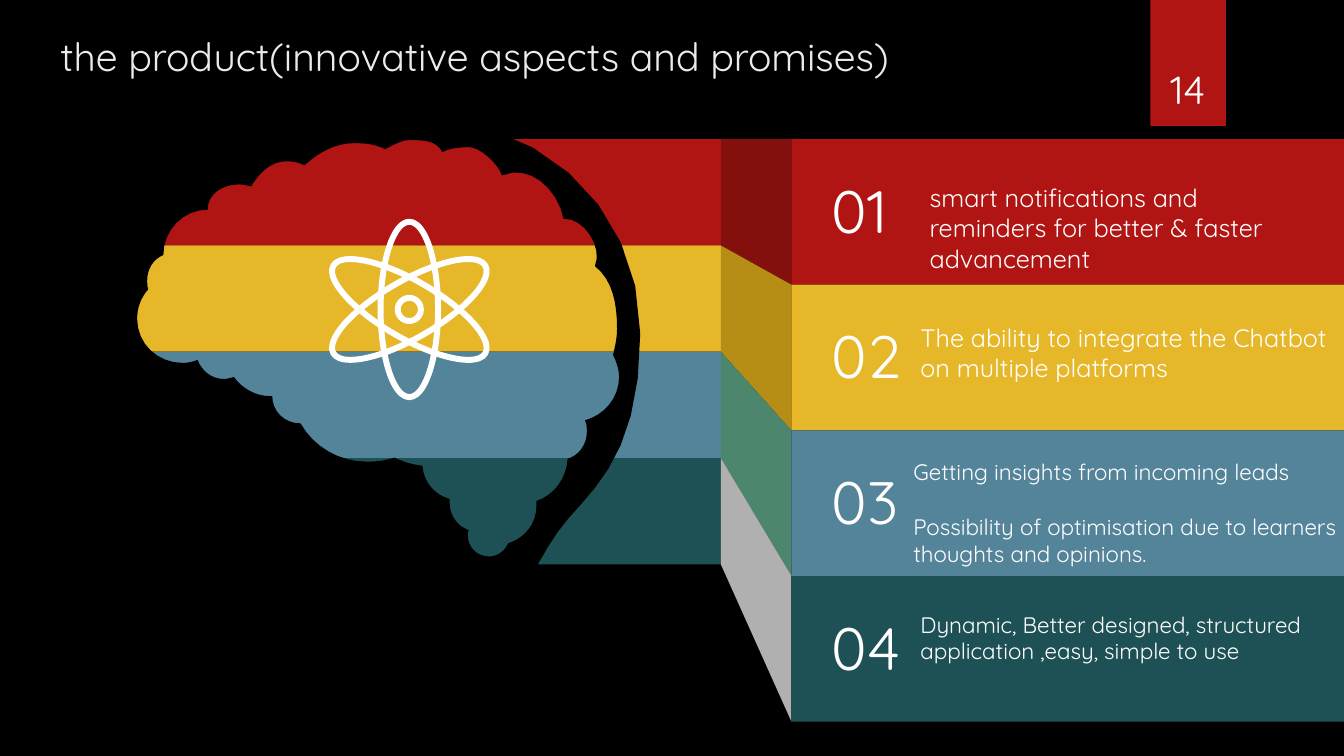
from pptx import Presentation
from pptx.dml.color import RGBColor
from pptx.enum.shapes import MSO_SHAPE
from pptx.enum.text import MSO_ANCHOR, PP_ALIGN
from pptx.util import Inches, Pt

RECT, OVAL = MSO_SHAPE.RECTANGLE, MSO_SHAPE.OVAL
TOP, MID, LOW = MSO_ANCHOR.TOP, MSO_ANCHOR.MIDDLE, MSO_ANCHOR.BOTTOM
LEFT, MIDST = PP_ALIGN.LEFT, PP_ALIGN.CENTER
FONT = "Quicksand"
BLACK, WHITE, RED = "000000", "FFFFFF", "B01513"

TITLE = "the product(innovative aspects and promises)"
PAGE = "14"

ITEMS = [
    ("01", RED, "84100E", (9.22, 1.76, 3.78, 1.01), 18,
     ["smart notifications and reminders for better & faster advancement"]),
    ("02", "E6B729", "B68E15", (9.13, 3.15, 4.2, 0.71), 18,
     ["The ability to integrate the Chatbot on multiple platforms"]),
    ("03", "54849A", "4B866D", (9.06, 4.5, 4.27, 1.18), 16,
     ["Getting insights from incoming leads",
      "Possibility of optimisation due to learners thoughts and opinions."]),
    ("04", "1E5155", "B0B0B0", (9.13, 6.01, 4.2, 0.64), 16,
     ["Dynamic, Better designed, structured application ,easy, simple to use"]),
]

SIDE = [
    (3.21, 1.33), (1.66, 2.07), (1.23, 2.87), (1.34, 3.64), (1.58, 4.46),
    (1.53, 5.83), (2.8, 5.92), (3.35, 7.5), (0, 7.5), (0, 1.32), (1.67, 1.32),
]

HEAD = [
    (6.35, 3.31),
    (6.35, 1.99, 5.25, 1.08, 3.97, 1.19),
    (2.7, 1.28, 2.09, 1.65, 1.82, 1.82),
    (1.56, 1.99, 1.3, 2.28, 1.2, 2.47),
    (1.11, 2.65, 1.05, 2.99, 1.04, 3.15),
    (1.03, 3.31, 1.05, 3.41, 1.07, 3.51),
    (1.1, 3.62, 1.2, 3.79, 1.24, 3.92),
    (1.26, 4.05, 1.18, 4.26, 1.12, 4.36),
    (1.07, 4.44, 0.86, 4.74, 0.81, 4.81),
    (0.76, 4.89, 0.8, 4.99, 0.83, 5.07),
    (0.87, 5.15, 1, 5.18, 1.03, 5.19),
    (1.11, 5.21),
    (1.12, 5.22, 1.1, 5.31, 1.08, 5.37),
    (1.07, 5.41, 1.02, 5.47, 1, 5.5),
    (0.99, 5.53, 1.01, 5.63, 1.04, 5.69),
    (1.07, 5.75, 1.14, 5.78, 1.14, 5.78),
    (1.14, 5.78, 1.04, 5.86, 1.04, 5.95),
    (1.04, 6.04, 1.06, 6.09, 1.08, 6.1),
    (1.1, 6.12, 1.21, 6.15, 1.24, 6.19),
    (1.26, 6.23, 1.29, 6.27, 1.3, 6.3),
    (1.29, 6.4),
    (1.27, 6.55, 1.33, 6.85, 1.57, 6.86),
    (1.75, 6.87, 2.05, 6.76, 2.15, 6.74),
    (2.26, 6.72, 2.73, 6.54, 2.81, 6.6),
    (2.9, 6.66, 2.91, 6.74, 2.94, 6.83),
    (2.97, 6.91, 3.1, 7.32, 3.14, 7.47),
    (4.8, 7.47), (5.2, 7.14), (5.33, 6.9),
    (5.05, 6.03, 5.26, 5.68, 5.53, 5.28),
    (5.78, 4.91, 6.35, 4.63, 6.35, 3.31),
]

BRAIN = [
    (5.32, 5.02),
    (5.32, 5.2, 5.2, 5.34, 5.04, 5.39),
    (5.01, 5.46, 4.94, 5.52, 4.85, 5.52),
    (4.73, 5.52, 4.64, 5.43, 4.64, 5.31),
    (4.64, 5.3, 4.64, 5.27, 4.65, 5.26),
    (4.54, 5.22, 4.46, 5.12, 4.46, 4.99),
    (4.46, 4.95),
    (4.31, 4.91, 4.2, 4.78, 4.19, 4.62),
    (4.09, 4.61, 4, 4.58, 3.91, 4.54),
    (3.82, 4.57, 3.73, 4.58, 3.64, 4.58),
    (3.36, 4.58, 3.11, 4.43, 2.98, 4.2),
    (2.82, 4.2, 2.7, 4.08, 2.7, 3.93),
    (2.68, 3.93),
    (2.53, 3.93, 2.4, 3.85, 2.32, 3.74),
    (2.28, 3.75, 2.25, 3.76, 2.22, 3.76),
    (2.1, 3.76, 2, 3.68, 1.96, 3.57),
    (1.91, 3.59, 1.86, 3.6, 1.81, 3.6),
    (1.56, 3.6, 1.36, 3.41, 1.36, 3.16),
    (1.36, 3.05, 1.4, 2.95, 1.47, 2.87),
    (1.46, 2.84, 1.46, 2.81, 1.46, 2.78),
    (1.46, 2.67, 1.52, 2.57, 1.62, 2.53),
    (1.62, 2.28, 1.82, 2.08, 2.06, 2.08),
    (2.06, 1.91, 2.22, 1.83, 2.37, 1.83),
    (2.41, 1.83, 2.45, 1.84, 2.49, 1.85),
    (2.57, 1.72, 2.68, 1.6, 2.84, 1.6),
    (2.9, 1.6, 2.96, 1.61, 3.02, 1.64),
    (3.15, 1.52, 3.32, 1.42, 3.51, 1.42),
    (3.63, 1.42, 3.72, 1.43, 3.82, 1.48),
    (3.88, 1.45, 3.98, 1.39, 4.05, 1.39),
    (4.21, 1.39, 4.32, 1.39, 4.39, 1.51),
    (4.44, 1.47, 4.59, 1.46, 4.65, 1.46),
    (4.77, 1.46, 4.94, 1.63, 4.98, 1.74),
    (5.26, 1.62, 5.53, 1.88, 5.59, 2.17),
    (5.8, 2.16, 5.98, 2.46, 5.9, 2.64),
    (6.08, 2.78, 6.12, 3.02, 6.12, 3.26),
    (6.12, 3.35, 6.1, 3.44, 6.08, 3.52),
    (6.11, 3.58, 6.14, 3.66, 6.14, 3.74),
    (6.14, 3.95, 5.99, 4.12, 5.8, 4.17),
    (5.82, 4.2, 5.82, 4.24, 5.82, 4.29),
    (5.82, 4.41, 5.74, 4.52, 5.63, 4.55),
    (5.62, 4.74, 5.5, 4.91, 5.32, 4.97),
]

ATOM = [(0.23, 0.23, 0), (0.57, 1.74, 0), (0.57, 1.74, 60), (0.57, 1.74, -60)]
CORE = (4.06, 3.07)
Y0, BAND, PANEL = 1.38, 1.055, 1.445
FOLD_L, FOLD_R = 7.15, 7.85
STEPS = 8

prs = Presentation()
prs.slide_width, prs.slide_height = Inches(13.33), Inches(7.5)
slide = prs.slides.add_slide(prs.slide_layouts[6])
shapes = slide.shapes


def paint(fill, color):
    fill.solid()
    fill.fore_color.rgb = RGBColor.from_string(color)


def plain(shape, color):
    shape.shadow.inherit = False
    paint(shape.fill, color)
    shape.line.fill.background()
    return shape


def rect(x, y, w, h, color):
    return plain(shapes.add_shape(RECT, *map(Inches, (x, y, w, h))), color)


def trace(path):
    dots = [path[0]]
    for seg in path[1:]:
        if len(seg) == 2:
            dots.append(seg)
            continue
        ends = [dots[-1], seg[:2], seg[2:4], seg[4:]]
        for n in range(1, STEPS + 1):
            t = n / STEPS
            u = 1 - t
            parts = (u ** 3, 3 * u * u * t, 3 * u * t * t, t ** 3)
            dots.append(tuple(sum(k * p[a] for k, p in zip(parts, ends))
                              for a in (0, 1)))
    return [(Inches(x), Inches(y)) for x, y in dots]


def outline(color, *paths):
    loops = [trace(path) for path in paths]
    pen = shapes.build_freeform(*loops[0][0])
    for n, loop in enumerate(loops):
        if n:
            pen.move_to(*loop[0])
        pen.add_line_segments(loop[1:], close=True)
    plain(pen.convert_to_shape(), color)


def write(shape, lines, size, color=WHITE, pad=(0, 0.05, 0, 0.05),
          anchor=TOP, align=LEFT):
    frame = shape.text_frame
    frame.word_wrap = True
    frame.vertical_anchor = anchor
    (frame.margin_left, frame.margin_top,
     frame.margin_right, frame.margin_bottom) = map(Inches, pad)
    for n, line in enumerate(lines):
        para = frame.add_paragraph() if n else frame.paragraphs[0]
        para.alignment = align
        if n:
            para.space_before = Pt(size * 1.25)
        run = para.add_run()
        run.text = line
        run.font.name, run.font.size = FONT, Pt(size)
        run.font.color.rgb = RGBColor.from_string(color)


def label(box, lines, size, **style):
    write(shapes.add_textbox(*map(Inches, box)), lines, size, **style)


paint(slide.background.fill, BLACK)
rect(11.41, 0, 0.75, 1.25, RED)
label((0.5, 0.27, 10.29, 0.7), [TITLE], 28, color="EBEBEB",
      pad=(0.1, 0.05, 0.1, 0.05))

for n, (num, color, shade, box, size, lines) in enumerate(ITEMS):
    near, far = Y0 + n * BAND, Y0 + n * PANEL
    rect(1.11, near, FOLD_L - 1.11, BAND, color)
    outline(shade, [(FOLD_L, near), (FOLD_R, far),
                    (FOLD_R, far + PANEL), (FOLD_L, near + BAND)])
    panel = rect(FOLD_R, far, 13.33 - FOLD_R, PANEL, color)
    write(panel, [num], 42.7, pad=(0.4, 0, 0.1, 0.05), anchor=MID)
    label(box, lines, size)

outline(BLACK, SIDE)
outline(BLACK, HEAD, BRAIN)

for w, h, turn in ATOM:
    spot = (CORE[0] - w / 2, CORE[1] - h / 2, w, h)
    ring = shapes.add_shape(OVAL, *map(Inches, spot))
    ring.shadow.inherit = False
    ring.fill.background()
    paint(ring.line.fill, WHITE)
    ring.line.width = Pt(4.25)
    ring.rotation = turn

label((11.32, 0.32, 0.92, 0.84), [PAGE], 28, pad=(0.1, 0.05, 0.1, 0.05),
      anchor=LOW, align=MIDST)
prs.save("out.pptx")
